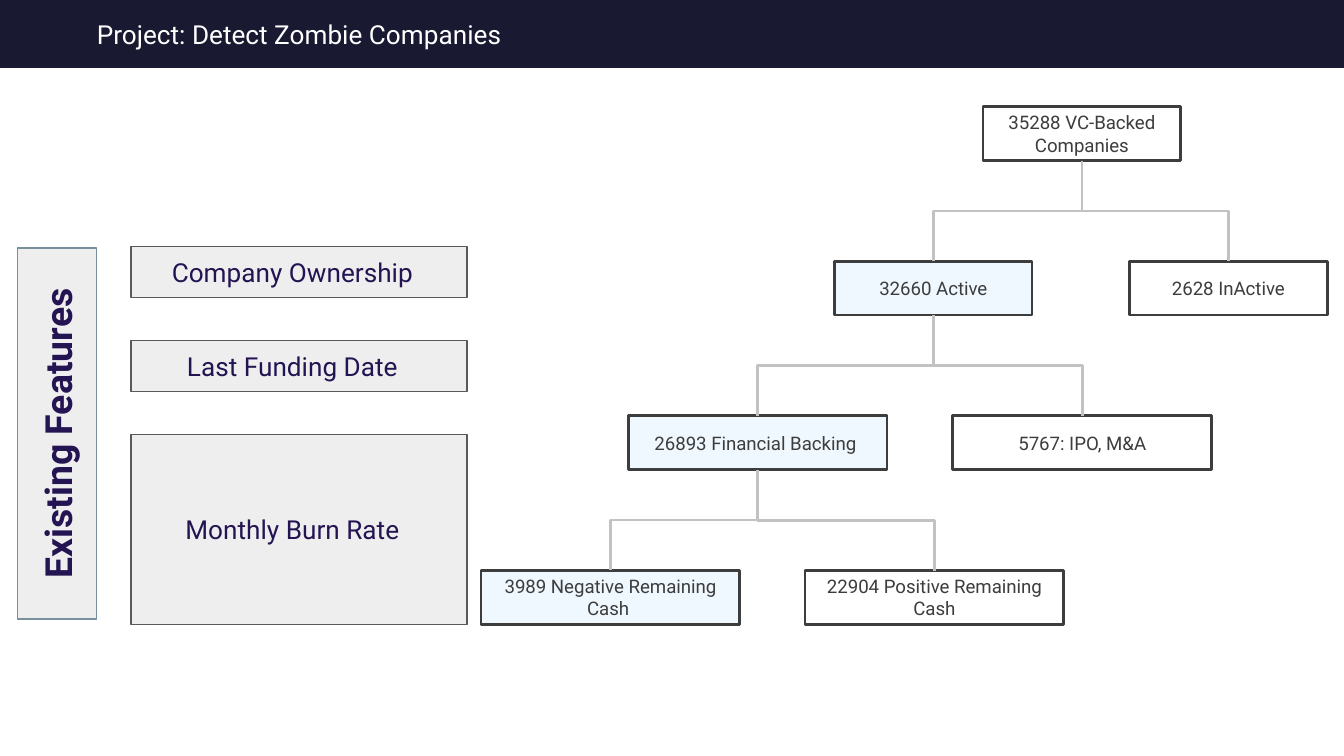
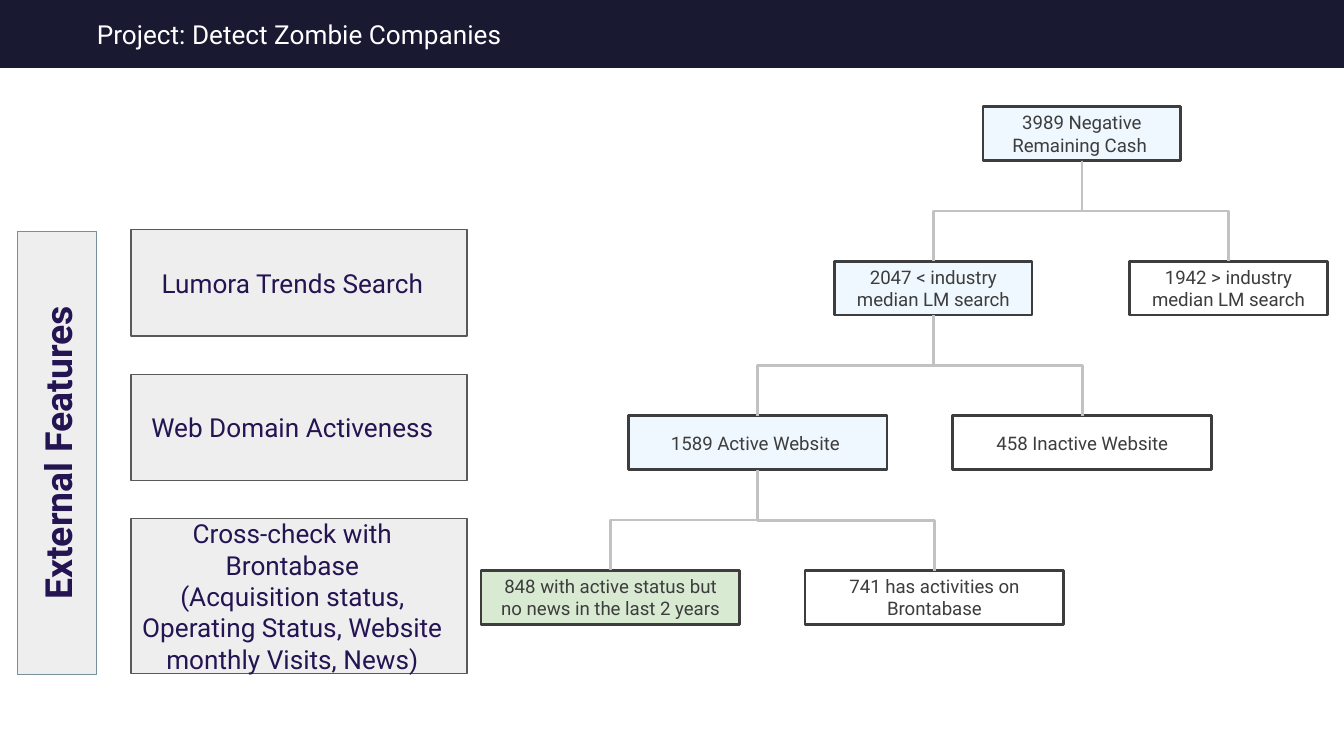
"""Build the two slides on detecting zombie companies."""
from dataclasses import dataclass
from typing import Optional

from lxml.etree import SubElement
from pptx import Presentation
from pptx.dml.color import RGBColor
from pptx.enum.shapes import MSO_CONNECTOR, MSO_SHAPE
from pptx.enum.text import MSO_ANCHOR, PP_ALIGN
from pptx.oxml.ns import qn
from pptx.shapes.autoshape import Shape
from pptx.slide import Slide, SlideLayout
from pptx.text.text import TextFrame
from pptx.util import Emu, Pt

NAVY = RGBColor(0x19, 0x19, 0x32)
WHITE = RGBColor(0xFF, 0xFF, 0xFF)
PURPLE = RGBColor(0x24, 0x14, 0x52)
LIGHT_GREY = RGBColor(0xEE, 0xEE, 0xEE)
FEATURE_EDGE = RGBColor(0x59, 0x59, 0x59)
GROUP_EDGE = RGBColor(0x78, 0x90, 0x9C)
CHARCOAL = RGBColor(0x3D, 0x3D, 0x3D)
BRANCH_GREY = RGBColor(0xC2, 0xC2, 0xC2)
PALE_BLUE = RGBColor(0xF0, 0xF8, 0xFF)
PALE_GREEN = RGBColor(0xD9, 0xEA, 0xD3)

FONT = "Roboto"
TITLE = "Project: Detect Zombie Companies"
EMU_PER_PX = 4572
SLIDE_WIDTH, SLIDE_HEIGHT, BAND_HEIGHT = 2000, 1125, 101
INSET = 20
FEATURE_LEFT, FEATURE_WIDTH = 195, 500
GROUP_CENTER, GROUP_THICKNESS = 85, 118
TREE_TOP, LEVEL_PITCH, NODE_HEIGHT = 159, 230, 80
NARROW, WIDE = 294, 385
QUARTER_TURN = "5400000"
TOP_SITE, BOTTOM_SITE = 0, 2


@dataclass(frozen=True)
class TextStyle:
    size: float
    color: RGBColor
    bold: bool = False
    align: PP_ALIGN = PP_ALIGN.CENTER
    left_inset: int = INSET


@dataclass(frozen=True)
class BoxStyle:
    text: TextStyle
    edge: RGBColor
    edge_width: float


@dataclass(frozen=True)
class Area:
    left: int
    top: int
    width: int
    height: int


@dataclass(frozen=True)
class Slot:
    level: int
    left: int
    width: int
    parent: Optional[int] = None


@dataclass(frozen=True)
class Node:
    text: str
    fill: Optional[RGBColor] = None


@dataclass(frozen=True)
class Feature:
    top: int
    height: int
    lines: tuple[str, ...]


@dataclass(frozen=True)
class Funnel:
    group: str
    group_top: int
    group_length: int
    features: tuple[Feature, ...]
    nodes: tuple[Node, ...]


TITLE_STYLE = TextStyle(14, WHITE, align=PP_ALIGN.LEFT, left_inset=0)
FEATURE_STYLE = BoxStyle(TextStyle(14, PURPLE, left_inset=0), FEATURE_EDGE, 0.75)
GROUP_STYLE = BoxStyle(TextStyle(20, PURPLE, bold=True), GROUP_EDGE, 0.75)
NODE_STYLE = BoxStyle(TextStyle(10, CHARCOAL), CHARCOAL, 1.5)

TREE = (
    Slot(0, 1463, NARROW),
    Slot(1, 1242, NARROW, parent=0),
    Slot(1, 1681, NARROW, parent=0),
    Slot(2, 935, WIDE, parent=1),
    Slot(2, 1418, WIDE, parent=1),
    Slot(3, 716, WIDE, parent=3),
    Slot(3, 1198, WIDE, parent=3),
)

FUNNELS = (
    Funnel(
        "Existing Features", 369, 552,
        (
            Feature(367, 76, ("Company Ownership",)),
            Feature(507, 76, ("Last Funding Date",)),
            Feature(647, 282, ("Monthly Burn Rate",)),
        ),
        (
            Node("35288 VC-Backed Companies"),
            Node("32660 Active", PALE_BLUE),
            Node("2628 InActive"),
            Node("26893 Financial Backing ", PALE_BLUE),
            Node("5767: IPO, M&A"),
            Node("3989 Negative Remaining Cash ", PALE_BLUE),
            Node("22904 Positive Remaining Cash"),
        ),
    ),
    Funnel(
        "External Features", 344, 660,
        (
            Feature(342, 158, ("Lumora Trends Search",)),
            Feature(557, 158, ("Web Domain Activeness",)),
            Feature(772, 230, (
                "Cross-check with Brontabase",
                "(Acquisition status, Operating Status, Website monthly Visits, News)",
            )),
        ),
        (
            Node("3989 Negative Remaining Cash ", PALE_BLUE),
            Node("2047 < industry median LM search", PALE_BLUE),
            Node("1942 > industry median LM search"),
            Node("1589 Active Website ", PALE_BLUE),
            Node("458 Inactive Website"),
            Node("848 with active status but no news in the last 2 years", PALE_GREEN),
            Node("741 has activities on Brontabase"),
        ),
    ),
)


def px(length: int) -> Emu:
    """Turn a length in px into EMU."""
    return Emu(length * EMU_PER_PX)


def write(frame: TextFrame, lines: tuple[str, ...], style: TextStyle) -> None:
    """Fill a text frame with one paragraph per line."""
    frame.word_wrap = True
    frame.vertical_anchor = MSO_ANCHOR.MIDDLE
    frame.margin_left = px(style.left_inset)
    frame.margin_top = frame.margin_right = frame.margin_bottom = px(INSET)
    frame.text = "\n".join(lines)
    for paragraph in frame.paragraphs:
        paragraph.alignment = style.align
        paragraph.font.name = FONT
        paragraph.font.size = Pt(style.size)
        paragraph.font.bold = style.bold
        paragraph.font.color.rgb = style.color


def add_rectangle(slide: Slide, area: Area, fill: Optional[RGBColor]) -> Shape:
    """Add a flat rectangle without an edge."""
    box = slide.shapes.add_shape(
        MSO_SHAPE.RECTANGLE, px(area.left), px(area.top), px(area.width), px(area.height)
    )
    box.shadow.inherit = False
    box.line.fill.background()
    if fill is None:
        box.fill.background()
    else:
        box.fill.solid()
        box.fill.fore_color.rgb = fill
    return box


def add_box(
    slide: Slide, area: Area, lines: tuple[str, ...], style: BoxStyle, fill: Optional[RGBColor]
) -> Shape:
    """Add an edged rectangle with text."""
    box = add_rectangle(slide, area, fill)
    box.line.color.rgb = style.edge
    box.line.width = Pt(style.edge_width)
    write(box.text_frame, lines, style.text)
    return box


def add_branch(slide: Slide, parent: Shape, child: Shape) -> None:
    """Join a parent's bottom to a child's top with a turned elbow."""
    start_x, start_y = parent.left + parent.width // 2, parent.top + parent.height
    end_x, end_y = child.left + child.width // 2, child.top
    middle_x, middle_y = (start_x + end_x) // 2, (start_y + end_y) // 2
    half_x, half_y = (end_x - start_x) // 2, (end_y - start_y) // 2
    branch = slide.shapes.add_connector(MSO_CONNECTOR.ELBOW, start_x, start_y, end_x, end_y)
    branch.begin_connect(parent, BOTTOM_SITE)
    branch.end_connect(child, TOP_SITE)
    branch.begin_x, branch.begin_y = Emu(middle_x - half_y), Emu(middle_y + half_x)
    branch.end_x, branch.end_y = Emu(middle_x + half_y), Emu(middle_y - half_x)
    branch.line.color.rgb = BRANCH_GREY
    branch.line.width = Pt(1.5)
    properties = branch.element.spPr
    properties.find(qn("a:xfrm")).set("rot", QUARTER_TURN)
    SubElement(properties, qn("a:effectLst"))


def add_title(slide: Slide) -> None:
    """Place and format the slide title."""
    title = slide.shapes.title
    title.left, title.top, title.width, title.height = px(144), px(24), px(856), px(54)
    write(title.text_frame, (TITLE,), TITLE_STYLE)


def add_band(slide: Slide, layout: SlideLayout) -> None:
    """Put the header band behind everything on the shared layout."""
    band = add_rectangle(slide, Area(0, 0, SLIDE_WIDTH, BAND_HEIGHT), NAVY)
    layout.shapes[0].element.addprevious(band.element)


def add_features(slide: Slide, funnel: Funnel) -> None:
    """Add the upright group label and its feature boxes."""
    group_area = Area(
        GROUP_CENTER - funnel.group_length // 2,
        funnel.group_top + (funnel.group_length - GROUP_THICKNESS) // 2,
        funnel.group_length,
        GROUP_THICKNESS,
    )
    group = add_box(slide, group_area, (funnel.group,), GROUP_STYLE, LIGHT_GREY)
    group.rotation = 270
    for feature in funnel.features:
        area = Area(FEATURE_LEFT, feature.top, FEATURE_WIDTH, feature.height)
        add_box(slide, area, feature.lines, FEATURE_STYLE, LIGHT_GREY)


def add_tree(slide: Slide, nodes: tuple[Node, ...]) -> None:
    """Add the tree of company counts and its branches."""
    boxes = []
    for slot, node in zip(TREE, nodes):
        area = Area(slot.left, TREE_TOP + slot.level * LEVEL_PITCH, slot.width, NODE_HEIGHT)
        boxes.append(add_box(slide, area, (node.text,), NODE_STYLE, node.fill))
    for slot, box in zip(TREE, boxes):
        if slot.parent is not None:
            add_branch(slide, boxes[slot.parent], box)


def main() -> None:
    """Build and save the deck."""
    deck = Presentation()
    deck.slide_width, deck.slide_height = px(SLIDE_WIDTH), px(SLIDE_HEIGHT)
    layout = deck.slide_layouts.get_by_name("Title Only")
    for number, funnel in enumerate(FUNNELS):
        slide = deck.slides.add_slide(layout)
        if number == 0:
            add_band(slide, layout)
        add_title(slide)
        add_features(slide, funnel)
        add_tree(slide, funnel.nodes)
    deck.save("out.pptx")


if __name__ == "__main__":
    main()
